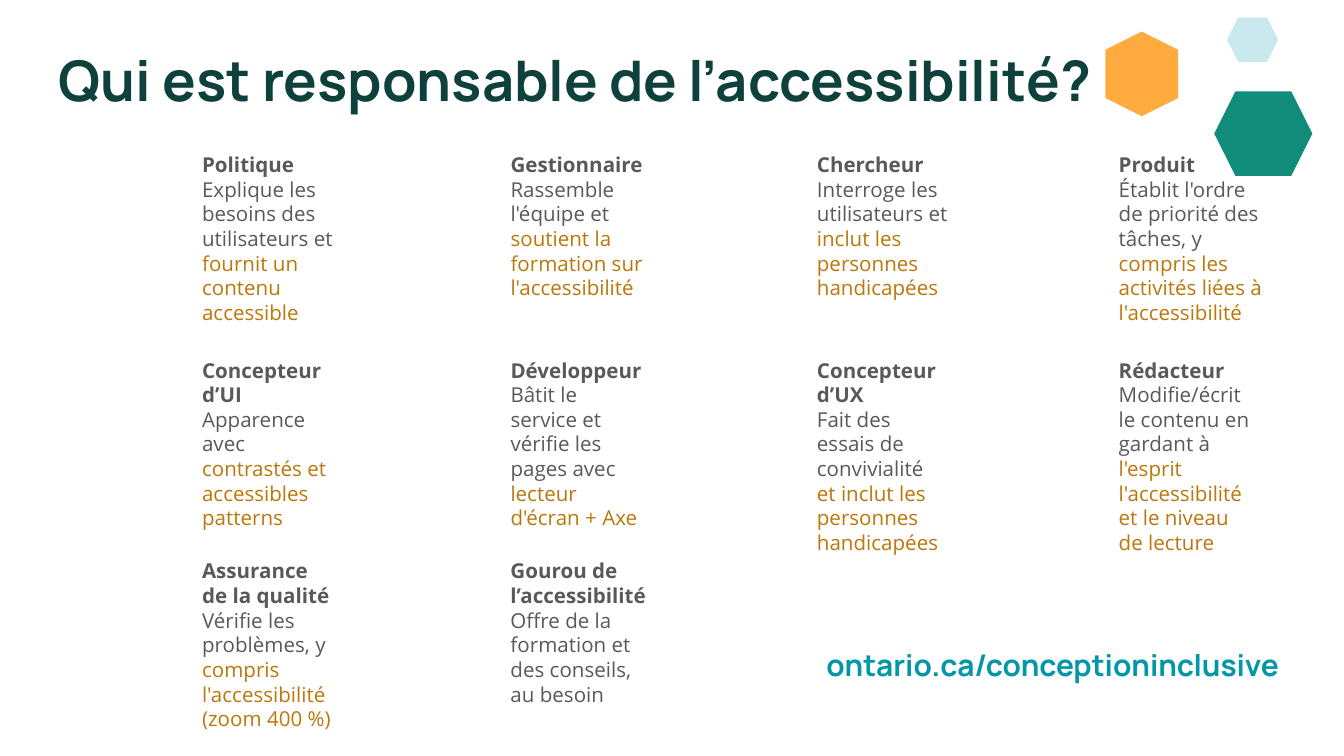
import pptx
import pptx.util
import pptx.dml.color
import pptx.enum.shapes
import pptx.enum.text

PX = 4572
GREY = "595959"
GOLD = "BB770B"
COLUMNS = [281, 740, 1196, 1645]
ROWS = [206, 512, 811]
ROLE_WIDTH, ROLE_HEIGHT = 236, 276
ROLE_WIDTHS = {
    "Gestionnaire": 242,
    "Produit": 256,
    "Concepteur d’UX": 230,
    "Gourou de l’accessibilité": 260,
}

ROLES = [
    ("Politique", "Explique les besoins des utilisateurs et ",
     "fournit un contenu accessible"),
    ("Gestionnaire", "Rassemble l'équipe et ",
     "soutient la formation sur l'accessibilité"),
    ("Chercheur", "Interroge les utilisateurs et ",
     "inclut les personnes handicapées"),
    ("Produit", "Établit l'ordre de priorité des tâches, y ",
     "compris les activités liées à l'accessibilité"),
    ("Concepteur d’UI", "Apparence avec ",
     "contrastés et accessibles patterns"),
    ("Développeur", "Bâtit le service et vérifie les pages avec ",
     "lecteur d'écran + Axe"),
    ("Concepteur d’UX", "Fait des essais de convivialité ",
     "et inclut les personnes handicapées"),
    ("Rédacteur", "Modifie/écrit le contenu en gardant à ",
     "l'esprit l'accessibilité et le niveau de lecture"),
    ("Assurance de la qualité", "Vérifie les problèmes, y ",
     "compris l'accessibilité (zoom 400 %)"),
    ("Gourou de l’accessibilité",
     "Offre de la formation et des conseils, au besoin", ""),
]


def rgb(value):
    return pptx.dml.color.RGBColor.from_string(value)


def px(*values):
    return [pptx.util.Emu(v * PX) for v in values]


class Deck:
    heading_font = "Manrope"
    body_font = "Open Sans"

    def __init__(self, width, height):
        self.prs = pptx.Presentation()
        self.prs.slide_width, self.prs.slide_height = px(width, height)
        self.s = self.prs.slides.add_slide(self.prs.slide_layouts[6])

    def box(self, *at):
        tf = self.s.shapes.add_textbox(*px(*at)).text_frame
        tf.word_wrap = True
        tf.vertical_anchor = pptx.enum.text.MSO_ANCHOR.TOP
        tf.margin_left, tf.margin_top, tf.margin_right, tf.margin_bottom = px(20, 20, 20, 20)
        return tf

    def run(self, p, text, font, size, color, bold=False):
        r = p.add_run()
        r.text = text
        r.font.name = font
        r.font.size = pptx.util.Pt(size)
        r.font.bold = bold
        r.font.color.rgb = rgb(color)

    def heading(self, text, at, size, color):
        p = self.box(*at).paragraphs[0]
        self.run(p, text, self.heading_font, size, color, True)
        return p

    def role(self, name, task, duty, at):
        tf = self.box(*at)
        self.run(tf.paragraphs[0], name, self.body_font, 11, GREY, True)
        p = tf.add_paragraph()
        self.run(p, task, self.body_font, 11, GREY)
        if duty:
            self.run(p, duty, self.body_font, 11, GOLD)

    def hexagon(self, at, color, rotation=0):
        sp = self.s.shapes.add_shape(pptx.enum.shapes.MSO_SHAPE.HEXAGON, *px(*at))
        sp.adjustments[0] = 0.25
        sp.rotation = rotation
        sp.shadow.inherit = False
        sp.fill.solid()
        sp.fill.fore_color.rgb = rgb(color)
        sp.line.fill.background()


def main():
    deck = Deck(2000, 1125)
    deck.heading("Qui est responsable de l’accessibilité?", (68, 48, 1864, 126), 30, "0F413C")
    for i, (name, task, duty) in enumerate(ROLES):
        row, col = divmod(i, len(COLUMNS))
        width = ROLE_WIDTHS.get(name, ROLE_WIDTH)
        deck.role(name, task, duty, (COLUMNS[col], ROWS[row], width, ROLE_HEIGHT))
    p = deck.heading("ontario.ca/conceptioninclusive", (1210, 934, 734, 102), 16, "0097A7")
    p.line_spacing = 1.15
    p.space_after = pptx.util.Pt(16)
    deck.hexagon((1807, 136, 146, 126), "118C7B")
    deck.hexagon((1636, 56, 126, 108), "FFAB40", 90)
    deck.hexagon((1826, 26, 76, 66), "CAE9EE", 180)
    deck.prs.save("out.pptx")


if __name__ == "__main__":
    main()
